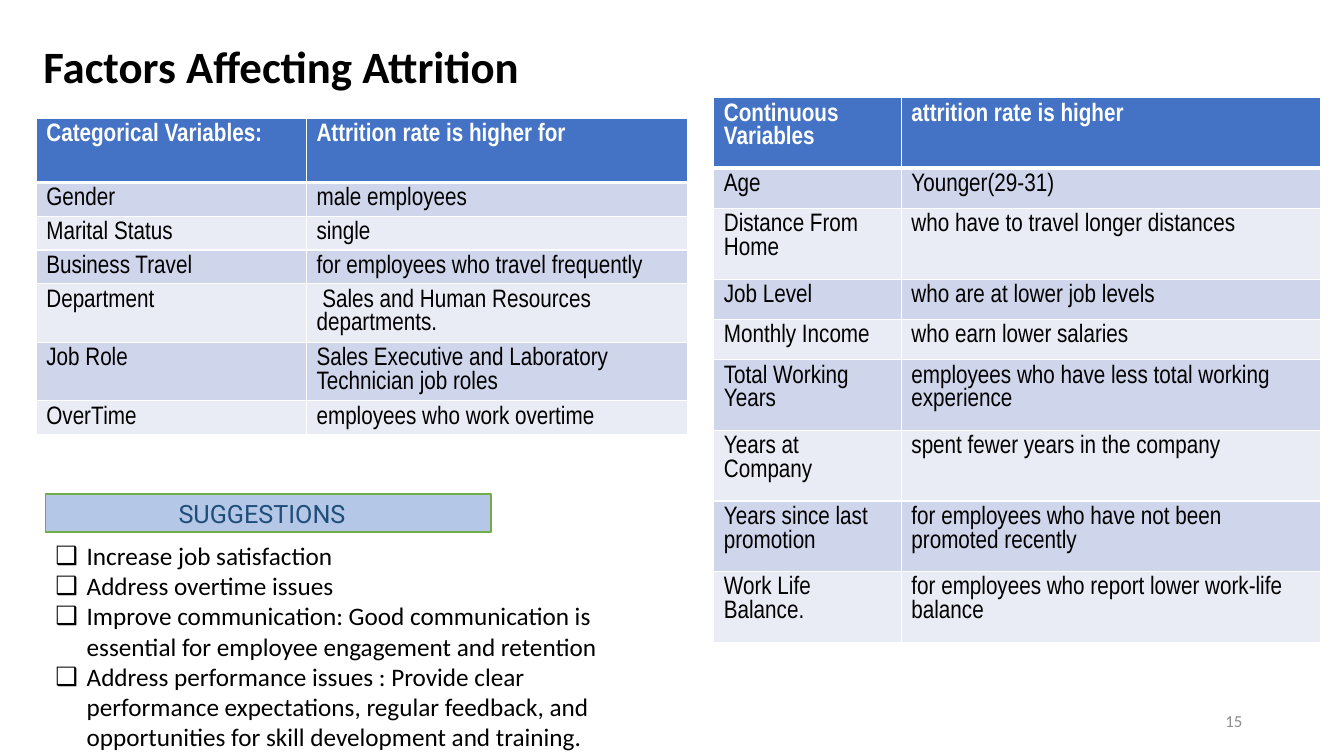
from pptx import Presentation
from pptx.dml.color import RGBColor as RGB
from pptx.enum.shapes import MSO_SHAPE as Shape
from pptx.enum.text import MSO_ANCHOR as Anchor, MSO_AUTO_SIZE as AutoSize, PP_ALIGN as Align
from pptx.oxml.xmlchemy import OxmlElement as Element
from pptx.util import Inches, Pt

COLORS = {
    "black": "000000", "white": "FFFFFF", "header": "4472C4",
    "band_dark": "CFD5EA", "band_light": "E9EBF5", "number": "8C8C8C",
    "label": "B4C7E7", "label_line": "70AD47", "label_text": "1F4E79",
}

ONE_LINE, TWO_LINES = 0.33, 0.58
CATEGORICAL = [
    ("Categorical Variables:", "Attrition rate is higher for", 0.64),
    ("Gender", "male employees", ONE_LINE),
    ("Marital Status", "single", ONE_LINE),
    ("Business Travel", "for employees who travel frequently", ONE_LINE),
    ("Department", " Sales and Human Resources departments.", TWO_LINES),
    ("Job Role", "Sales Executive and Laboratory Technician job roles", TWO_LINES),
    ("OverTime", "employees who work overtime", ONE_LINE),
]

SHORT, TALL = 0.4, 0.7
CONTINUOUS = [
    ("Continuous Variables", "attrition rate is higher", TALL),
    ("Age", "Younger(29-31)", SHORT),
    ("Distance From Home", "who have to travel longer distances", TALL),
    ("Job Level", "who are at lower job levels", SHORT),
    ("Monthly Income", "who earn lower salaries", SHORT),
    ("Total Working Years", "employees who have less total working experience", TALL),
    ("Years at Company", "spent fewer years in the company", TALL),
    ("Years since last promotion", "for employees who have not been promoted recently", TALL),
    ("Work Life Balance.", "for employees who report lower work-life balance", TALL),
]

SUGGESTIONS = [
    "Increase job satisfaction",
    "Address overtime issues",
    "Improve communication: Good communication is essential for employee "
    "engagement and retention",
    "Address performance issues : Provide clear performance expectations, "
    "regular feedback, and opportunities for skill development and training.",
]


def color(name):
    return RGB.from_string(COLORS[name])


class SlideBuilder:
    """Holds the text style and the slide being filled."""

    font, size = "Calibri", 18
    table_font = "Arial Narrow"

    def __init__(self, slide):
        self.slide = slide

    def add_span(self, para, text, ink="black", size=None, font=None, bold=False):
        span = para.add_run()
        span.text = text
        span.font.name = font or self.font
        span.font.size = Pt(size or self.size)
        span.font.bold = bold
        span.font.color.rgb = color(ink)

    def place(self, box, at, anchor=Anchor.TOP):
        """Moves a text shape and gives its frame a fixed size."""
        box.left, box.top, box.width, box.height = map(Inches, at)
        frame = box.text_frame
        frame.word_wrap = True
        frame.auto_size = AutoSize.NONE
        frame.vertical_anchor = anchor
        return frame

    def title(self, text, at):
        frame = self.place(self.slide.shapes.title, at, Anchor.MIDDLE)
        para = frame.paragraphs[0]
        para.alignment = Align.LEFT
        self.add_span(para, text, size=32, bold=True)

    def checklist(self, items, at, indent=0.31):
        frame = self.place(self.slide.placeholders[1], at)
        for index, item in enumerate(items):
            para = frame.add_paragraph() if index else frame.paragraphs[0]
            para.space_before = Pt(0)
            self.add_span(para, item)
            props = para._p.get_or_add_pPr()
            props.set("marL", str(Inches(indent)))
            props.set("indent", str(-Inches(indent)))
            bullet = Element("a:buChar")
            bullet.set("char", "❑")
            props.append(bullet)

    def label(self, text, at):
        box = self.slide.shapes.add_shape(Shape.RECTANGLE, *map(Inches, at))
        box.shadow.inherit = False
        box.fill.solid()
        box.fill.fore_color.rgb = color("label")
        box.line.color.rgb = color("label_line")
        box.line.width = Pt(1)
        frame = self.place(box, at, Anchor.MIDDLE)
        frame.margin_right = Inches(0.22)
        para = frame.paragraphs[0]
        para.alignment = Align.CENTER
        self.add_span(para, text, "label_text", font="Roboto")

    def page_number(self, text, at):
        box = self.slide.shapes.add_textbox(*map(Inches, at))
        para = self.place(box, at, Anchor.MIDDLE).paragraphs[0]
        para.alignment = Align.RIGHT
        self.add_span(para, text, "number", size=12)

    def border(self, cell, side, points):
        line = Element(f"a:ln{side}")
        line.set("w", str(Pt(points)))
        fill, ink = Element("a:solidFill"), Element("a:srgbClr")
        ink.set("val", COLORS["white"])
        fill.append(ink)
        line.append(fill)
        cell._tc.get_or_add_tcPr().append(line)

    def table(self, rows, left, top, widths):
        """Adds a banded table from (variable, finding, height) rows."""
        height = sum(row[-1] for row in rows)
        area = map(Inches, (left, top, sum(widths), height))
        table = self.slide.shapes.add_table(len(rows), len(widths), *area).table
        for column, width in zip(table.columns, widths):
            column.width = Inches(width)
        for index, (*texts, row_height) in enumerate(rows):
            table.rows[index].height = Inches(row_height)
            header = index == 0
            band = "header" if header else ("band_light", "band_dark")[index % 2]
            for cell, text in zip(table.rows[index].cells, texts):
                for side in "LRTB":
                    thick = (header and side == "B") or (index == 1 and side == "T")
                    self.border(cell, side, 3 if thick else 1)
                cell.fill.solid()
                cell.fill.fore_color.rgb = color(band)
                self.add_span(cell.text_frame.paragraphs[0], text,
                              "white" if header else "black",
                              font=self.table_font, bold=header)


def main():
    deck = Presentation()
    deck.slide_width, deck.slide_height = Inches(13.33), Inches(7.5)
    page = SlideBuilder(deck.slides.add_slide(deck.slide_layouts[1]))
    page.page_number("15", (9.42, 6.95, 3, 0.4))
    page.table(CATEGORICAL, 0.36, 1.17, (2.68, 3.78))
    page.title("Factors Affecting Attrition", (0.33, 0.33, 12.08, 0.64))
    page.table(CONTINUOUS, 7.08, 0.97, (1.86, 4.16))
    page.checklist(SUGGESTIONS, (0.45, 5.31, 6.21, 2.22))
    page.label("SUGGESTIONS", (0.45, 4.9, 4.42, 0.38))
    deck.save("out.pptx")


if __name__ == "__main__":
    main()
